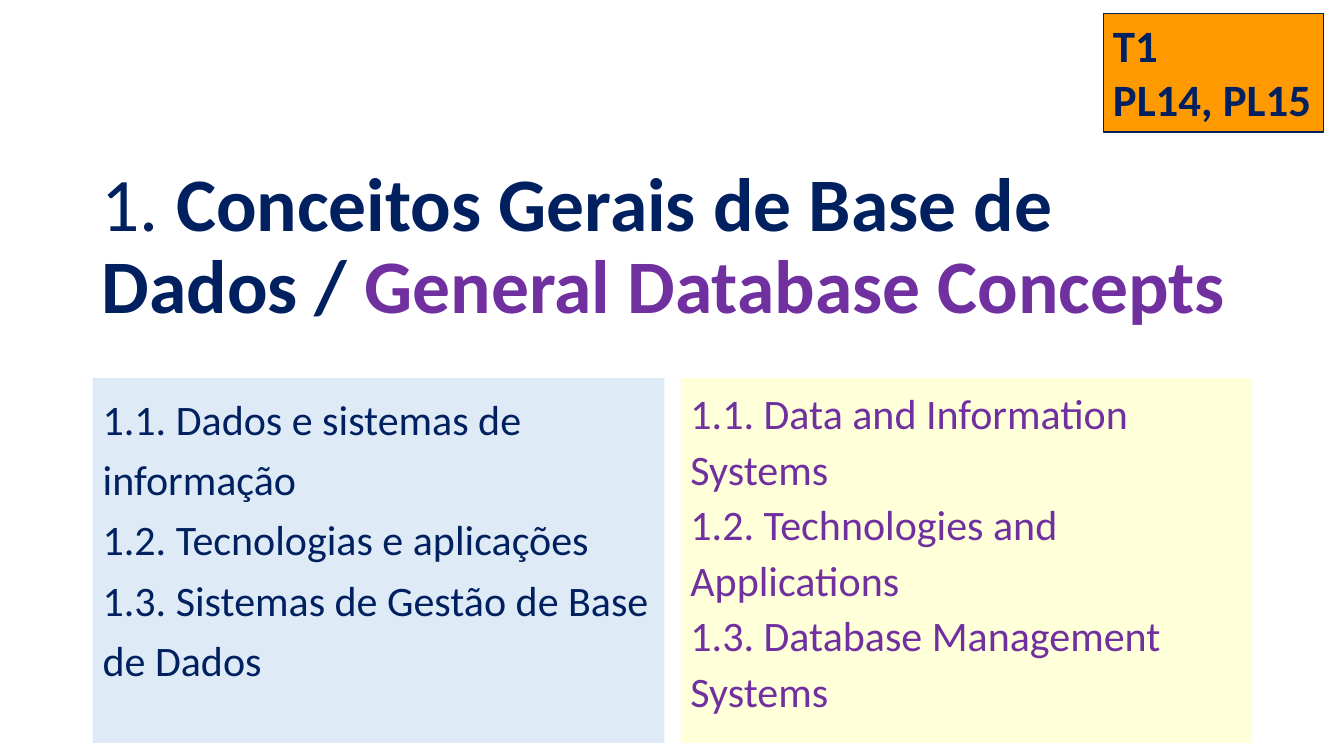
"""Builds the opening slide of a bilingual chapter on database concepts."""
from pptx import Presentation
from pptx.dml.color import RGBColor
from pptx.enum.shapes import MSO_SHAPE as Shape
from pptx.enum.text import MSO_ANCHOR as Anchor, PP_ALIGN as Align
from pptx.util import Inches, Pt

NAVY, PURPLE = "002060", "7030A0"


def color(value):
    """Turn a hex string into a colour."""
    return RGBColor.from_string(value)


def add_panel(left, top, width, height, fill, lines, size, ink, spacing=1.0, bold=False):
    """Add a filled rectangle with one paragraph per line."""
    box = page.shapes.add_shape(
        Shape.RECTANGLE, Inches(left), Inches(top), Inches(width), Inches(height))
    box.shadow.inherit = False
    box.fill.solid()
    box.fill.fore_color.rgb = color(fill)
    box.line.fill.background()
    frame = box.text_frame
    frame.text = "\n".join(lines)
    frame.word_wrap = True
    frame.vertical_anchor = Anchor.TOP
    for para in frame.paragraphs:
        para.alignment = Align.LEFT
        para.line_spacing = spacing
        font = para.runs[0].font
        font.name, font.size, font.bold = "Calibri", Pt(size), bold
        font.color.rgb = color(ink)
    return box


deck = Presentation()
deck.slide_width, deck.slide_height = Inches(13.33), Inches(7.5)
page = deck.slides.add_slide(deck.slide_layouts[6])

title = page.shapes.add_textbox(Inches(0.91), Inches(1.5), Inches(11.5), Inches(1.82))
title.text_frame.word_wrap = True
title.text_frame.vertical_anchor = Anchor.BOTTOM
heading = title.text_frame.paragraphs[0]
heading.line_spacing = 0.9
title_parts = [
    ("1. ", NAVY, False),
    ("Conceitos Gerais de Base de Dados / ", NAVY, True),
    ("General Database Concepts", PURPLE, True),
]
for words, ink, bold in title_parts:
    span = heading.add_run()
    span.text = words
    span.font.name, span.font.size, span.font.bold = "Calibri", Pt(54), bold
    span.font.color.rgb = color(ink)

panel_left, panel_width, gap = 0.92, 5.67, 0.16
outlines = [
    ("DEEBF7", NAVY, 1.2, [
        "1.1. Dados e sistemas de informação",
        "1.2. Tecnologias e aplicações",
        "1.3. Sistemas de Gestão de Base de Dados",
    ]),
    ("FFFFD9", PURPLE, 1.1, [
        "1.1. Data and Information Systems",
        "1.2. Technologies and Applications",
        "1.3. Database Management Systems",
    ]),
]
for column, (fill, ink, spacing, topics) in enumerate(outlines):
    left = panel_left + column * (panel_width + gap)
    add_panel(left, 3.75, panel_width, 3.62, fill, topics, 30, ink, spacing)

classes = add_panel(10.94, 0.13, 2.19, 1.18, "FF9900", ["T1", "PL14, PL15"], 32, NAVY, bold=True)
classes.text_frame.word_wrap = False
classes.line.color.rgb = color(NAVY)
classes.line.width = Pt(0.75)

deck.save("out.pptx")
